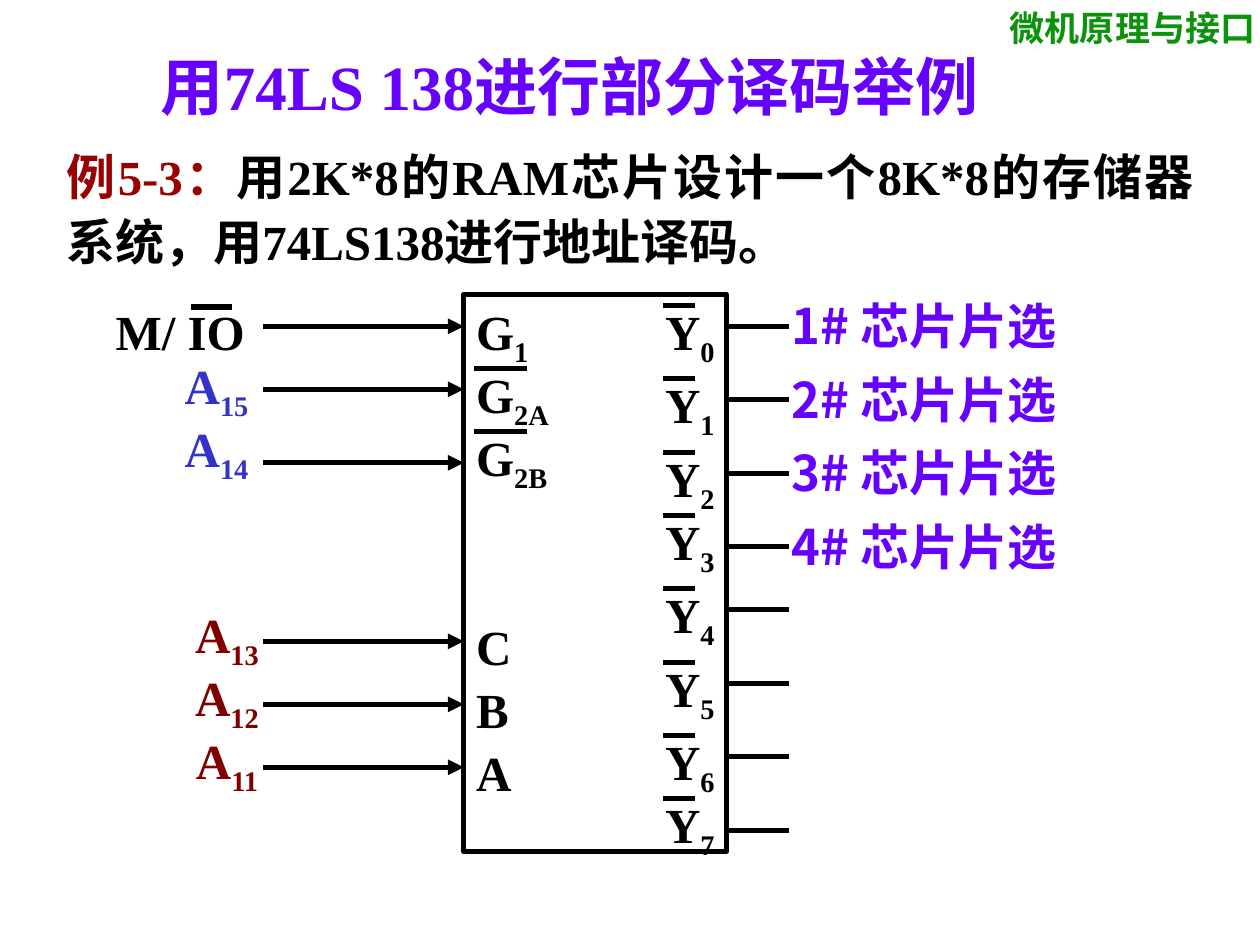
"""Build the slide on partial address decoding with a 74LS138."""
import itertools

import pptx
import pptx.dml.color
import pptx.enum.shapes
import pptx.enum.text
import pptx.oxml.ns
import pptx.util
from lxml import etree

Pt = pptx.util.Pt
RGB = pptx.dml.color.RGBColor
ALIGN = pptx.enum.text.PP_ALIGN
ANCHOR = pptx.enum.text.MSO_ANCHOR
qn = pptx.oxml.ns.qn

BLACK = RGB(0x00, 0x00, 0x00)
GREEN = RGB(0x0B, 0x93, 0x0B)
VIOLET = RGB(0x66, 0x00, 0xFF)
RED = RGB(0x99, 0x00, 0x00)
MAROON = RGB(0x80, 0x00, 0x00)
BLUE = RGB(0x33, 0x33, 0xCC)
LATIN, CJK = "Times New Roman", "Noto Sans CJK SC"

COURSE = "微机原理与接口"
TITLE = "用74LS 138进行部分译码举例"
EXAMPLE = [
    ("例5-3：", RED),
    ("用2K*8的RAM芯片设计一个8K*8的存储器系统，用74LS138进行地址译码。", BLACK),
]
ENABLE_PINS = [("G", "1", 54), ("G", "2A", 84.25), ("G", "2B", 90)]
SELECT_PINS = ["C", "B", "A"]
ENABLE_LINES, SELECT_LINES = ["15", "14"], ["13", "12", "11"]
CHIPS = [
    (" 1# 芯片片选", 204.5, 41),
    (" 2# 芯片片选", 198, 75),
    (" 3# 芯片片选", 209.5, 41),
    (" 4# 芯片片选", 198, 75),
]

CHIP_LEFT, CHIP_TOP, CHIP_WIDTH, CHIP_HEIGHT = 265, 168.5, 150, 318
CHIP_RIGHT = CHIP_LEFT + CHIP_WIDTH
ROW, WIDE_ROW = 36, 42
LABEL_HEIGHT, PLAIN_HEIGHT = 45.5, 41
BAR_DROP = 6
SELECT_TOP = CHIP_TOP + 5 * ROW
WIRE_DROP = 18
OUTPUT_GAPS = [42, 42, 36, 42, 42, 42, 36]
OUTPUT_TOPS = list(itertools.accumulate(OUTPUT_GAPS, initial=CHIP_TOP))
STUB_GAPS = [42, 42, 42, 36, 42, 42, 42]
STUB_YS = list(itertools.accumulate(STUB_GAPS, initial=CHIP_TOP + WIRE_DROP))
SIGNAL_WIDTH = 77.5

prs = pptx.Presentation()
prs.slide_width, prs.slide_height = Pt(720), Pt(540)
slide = prs.slides.add_slide(prs.slide_layouts[6])


def apply(target, values):
    for name, value in values.items():
        setattr(target, name, value)


def write(place, runs, size=28, font=LATIN, anchor=ANCHOR.TOP, **paragraph_format):
    box = slide.shapes.add_textbox(*map(Pt, place))
    apply(box.text_frame, {"word_wrap": True, "vertical_anchor": anchor})
    paragraph = box.text_frame.paragraphs[0]
    apply(paragraph, {"space_before": Pt(17.5), **paragraph_format})
    for text, color, *baseline in runs:
        run = paragraph.add_run()
        run.text = text
        apply(run.font, {"size": Pt(size), "bold": True, "name": font})
        run.font.color.rgb = color
        properties = run.font._element if hasattr(run.font, "_element") else run._r.get_or_add_rPr()
        etree.SubElement(properties, qn("a:ea"), typeface=CJK)
        if baseline:
            properties.set("baseline", str(baseline[0]))


def subscripted(letter, index, color):
    return [(letter, color), (index, color, -25000)]


def wire(left, right, y, arrow=False):
    line = slide.shapes.add_connector(
        pptx.enum.shapes.MSO_CONNECTOR.STRAIGHT, Pt(left), Pt(y), Pt(right), Pt(y)
    )
    line.line.width = Pt(3)
    line.line.color.rgb = BLACK
    properties = line._element.spPr
    if arrow:
        etree.SubElement(properties.find(qn("a:ln")), qn("a:tailEnd"), type="triangle")
    etree.SubElement(properties, qn("a:effectLst"))


write((570, 0, 162, 31.5), [(COURSE, GREEN)], 20, space_before=Pt(12.5))
write((1.5, 21, 648, 56), [(TITLE, VIOLET)], 36, anchor=ANCHOR.MIDDLE,
      alignment=ALIGN.CENTER, space_before=Pt(0))
write((31, 77, 658, 81.5), EXAMPLE, alignment=ALIGN.JUSTIFY,
      line_spacing=1.1, space_before=Pt(7))

decoder = slide.shapes.add_shape(
    pptx.enum.shapes.MSO_SHAPE.RECTANGLE,
    *map(Pt, (CHIP_LEFT, CHIP_TOP, CHIP_WIDTH, CHIP_HEIGHT)),
)
decoder.shadow.inherit = False
decoder.fill.background()
decoder.line.color.rgb = BLACK
decoder.line.width = Pt(3)

for row, (letter, index, width) in enumerate(ENABLE_PINS):
    top = CHIP_TOP + row * ROW
    write((CHIP_LEFT, top, width, LABEL_HEIGHT), subscripted(letter, index, BLACK))
    if row:
        wire(271, 301, top + BAR_DROP)

for row, letter in enumerate(SELECT_PINS):
    top = SELECT_TOP + row * ROW
    write((CHIP_LEFT, top, 54, PLAIN_HEIGHT), [(letter, BLACK)])

for number, (top, stub_y) in enumerate(zip(OUTPUT_TOPS, STUB_YS)):
    write((373, top, 54, LABEL_HEIGHT), subscripted("Y", str(number), BLACK))
    wire(379, 397, top + BAR_DROP)
    wire(CHIP_RIGHT, 451, stub_y)

write((49, 169, 108, PLAIN_HEIGHT), [("M/ IO", BLACK)], alignment=ALIGN.CENTER)
wire(109, 132.5, 175.5)

for left, first_top, indices, color in [
    (85, 199.5, ENABLE_LINES, BLUE),
    (91, 342, SELECT_LINES, MAROON),
]:
    for row, index in enumerate(indices):
        write((left, first_top + row * ROW, SIGNAL_WIDTH, LABEL_HEIGHT),
              subscripted("A", index, color), alignment=ALIGN.CENTER)

enable_ys = [CHIP_TOP + WIRE_DROP + drop for drop in (0, ROW, ROW + WIDE_ROW)]
select_ys = [SELECT_TOP + WIRE_DROP + row * ROW for row in range(len(SELECT_PINS))]
for y in enable_ys + select_ys:
    wire(150.5, CHIP_LEFT, y, arrow=True)

for row, (label, width, height) in enumerate(CHIPS):
    write((439, 165.5 + row * WIDE_ROW, width, height), [(label, VIOLET)], font=CJK)

prs.save("out.pptx")
